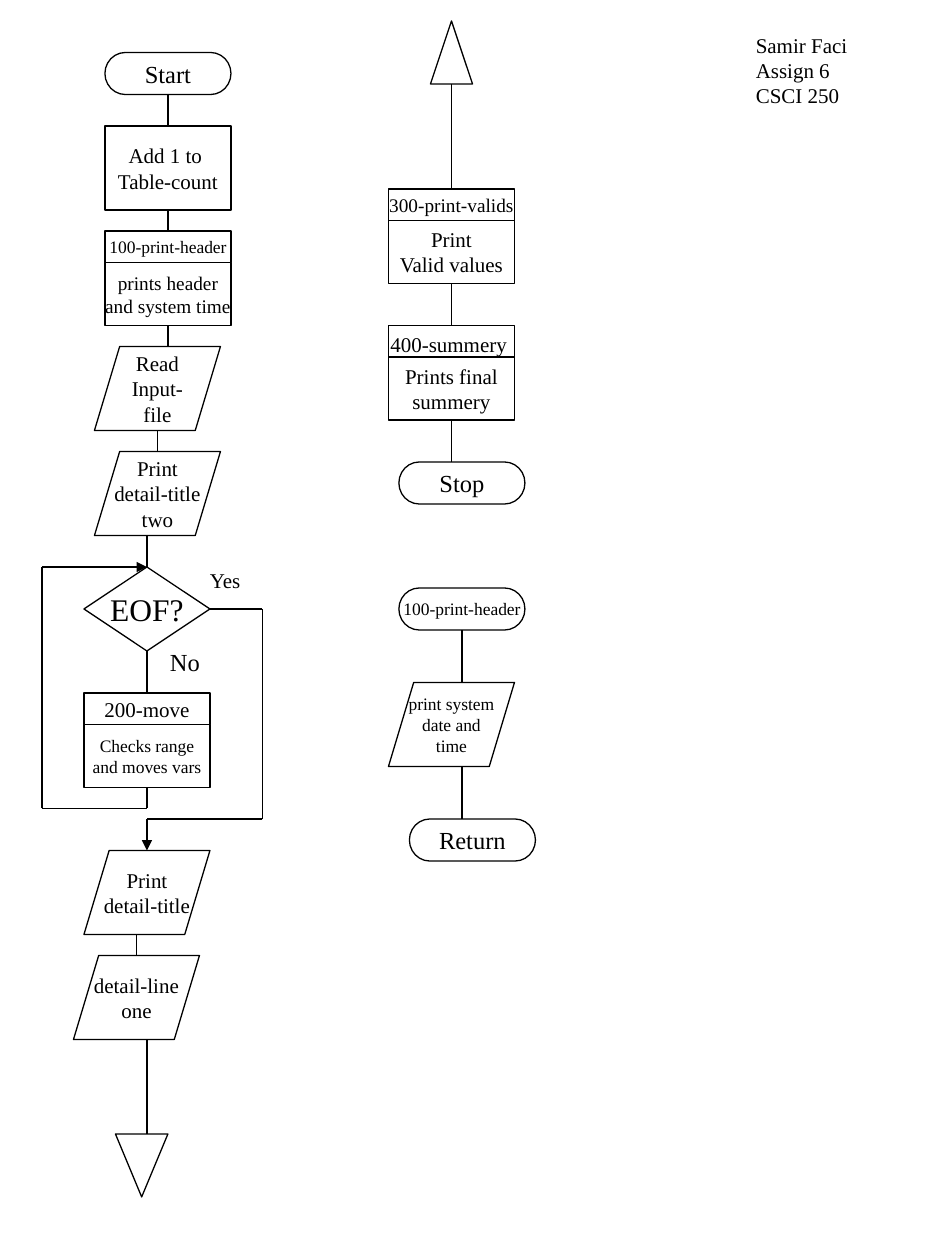
from itertools import pairwise

from lxml import etree
from pptx import Presentation
from pptx.dml.color import RGBColor
from pptx.enum.shapes import MSO_CONNECTOR, MSO_SHAPE
from pptx.enum.text import MSO_ANCHOR, MSO_AUTO_SIZE, PP_ALIGN
from pptx.oxml.ns import qn
from pptx.util import Pt

PX = 7620  # EMU in one px, 120 px to the inch
TERMINATOR = MSO_SHAPE.FLOWCHART_TERMINATOR
PROCESS = MSO_SHAPE.FLOWCHART_PROCESS
DATA = MSO_SHAPE.FLOWCHART_DATA
DECISION = MSO_SHAPE.FLOWCHART_DECISION
EXTRACT = MSO_SHAPE.FLOWCHART_EXTRACT
MERGE = MSO_SHAPE.FLOWCHART_MERGE
STRAIGHT = MSO_CONNECTOR.STRAIGHT
CENTER, LEFT = PP_ALIGN.CENTER, PP_ALIGN.LEFT
MIDDLE, TOP = MSO_ANCHOR.MIDDLE, MSO_ANCHOR.TOP
FIT_TEXT = MSO_AUTO_SIZE.SHAPE_TO_FIT_TEXT

THEME = {
    "font": "Times New Roman",
    "ink": RGBColor(0, 0, 0),
    "paper": RGBColor(255, 255, 255),
    "line": Pt(0.75),
    "tiny": Pt(10),
    "small": Pt(11),
    "body": Pt(12),
    "large": Pt(14),
    "question": Pt(18),
}
STEP_W, END_H, STEP_H, NAME_H, TASK_H = 120, 40, 80, 30, 60

# kind, left, top, width, height, text, type size
steps = [
    (TERMINATOR, 100, 50, STEP_W, END_H, "Start", "large"),
    (PROCESS, 100, 120, STEP_W, STEP_H, "Add 1 to \nTable-count", "body"),
    (DATA, 90, 330, STEP_W, STEP_H, "Read\nInput-\nfile", "body"),
    (DATA, 90, 430, STEP_W, STEP_H, "Print\ndetail-title\ntwo", "body"),
    (DECISION, 80, 540, STEP_W, STEP_H, "EOF?", "question"),
    (DATA, 80, 810, STEP_W, STEP_H, "Print\ndetail-title", "body"),
    (DATA, 70, 910, STEP_W, STEP_H, "detail-line\none", "body"),
    (MERGE, 110, 1080, 50, 60, "", "body"),
    (EXTRACT, 410, 20, 40, 60, "", "body"),
    (TERMINATOR, 380, 440, STEP_W, END_H, "Stop", "large"),
    (TERMINATOR, 380, 560, STEP_W, END_H, "100-print-header", "tiny"),
    (DATA, 370, 650, STEP_W, STEP_H, "print system\ndate and\ntime", "tiny"),
    (TERMINATOR, 390, 780, STEP_W, END_H, "Return", "large"),
]

# left, top, module name, its type size, task, its type size
modules = [
    (100, 220, "100-print-header", "tiny", "prints header\nand system time", "small"),
    (80, 660, "200-move", "body", "Checks range\nand moves vars", "tiny"),
    (370, 180, "300-print-valids", "small", "Print\nValid values", "body"),
    (370, 310, "", "body", "Prints final\nsummery", "body"),
]
for left, top, name, name_size, task, task_size in modules:
    steps.append((PROCESS, left, top, STEP_W, NAME_H, name, name_size))
    steps.append((PROCESS, left, top + NAME_H, STEP_W, TASK_H, task, task_size))

# corner points of each route, arrowhead at its end
routes = [
    ([(160, 90), (160, 120)], False),
    ([(160, 200), (160, 220)], False),
    ([(160, 310), (160, 330)], False),
    ([(150, 410), (150, 430)], False),
    ([(140, 540), (140, 510)], False),
    ([(140, 620), (140, 660)], False),
    ([(140, 750), (140, 770), (40, 770), (40, 540), (140, 540)], True),
    ([(200, 580), (250, 580), (250, 780), (140, 780), (140, 810)], True),
    ([(130, 890), (130, 910)], False),
    ([(140, 990), (140, 1080)], False),
    ([(430, 80), (430, 180)], False),
    ([(430, 270), (430, 310)], False),
    ([(430, 400), (430, 440)], False),
    ([(440, 600), (440, 650)], False),
    ([(440, 730), (440, 780)], False),
]

# left, top, width, height, text, type size
labels = [
    (150, 610, 54, 41, "No", "large"),
    (188, 535, 56, 36, "Yes", "body"),
    (360, 310, 138, 36, "400-summery", "body"),
    (708, 25, 114, 84, "Samir Faci\nAssign 6\nCSCI 250", "body"),
]


def write(frame, text, size, align, anchor):
    frame.text = text
    frame.word_wrap = False
    frame.vertical_anchor = anchor
    for paragraph in frame.paragraphs:
        paragraph.alignment = align
        for run in paragraph.runs:
            run.font.name = THEME["font"]
            run.font.size = THEME[size]
            run.font.color.rgb = THEME["ink"]


prs = Presentation()
prs.slide_width, prs.slide_height = 900 * PX, 1200 * PX
slide = prs.slides.add_slide(prs.slide_layouts[6])
shapes = slide.shapes

joints = {}  # middle of a side -> (step, connection site)
for kind, left, top, width, height, text, size in steps:
    step = shapes.add_shape(kind, left * PX, top * PX, width * PX, height * PX)
    step.shadow.inherit = False
    step.fill.solid()
    step.fill.fore_color.rgb = THEME["paper"]
    step.line.color.rgb = THEME["ink"]
    step.line.width = THEME["line"]
    if text:
        write(step.text_frame, text, size, CENTER, MIDDLE)
    if kind not in (DATA, MERGE):
        center, middle = left + width // 2, top + height // 2
        sides = [(center, top), (left, middle),
                 (center, top + height), (left + width, middle)]
        for site, point in enumerate(sides):
            joints[point] = (step, site)

for points, has_arrow in routes:
    for start, end in pairwise(points):
        flow = shapes.add_connector(STRAIGHT, *(v * PX for v in start + end))
        flow.line.color.rgb = THEME["ink"]
        flow.line.width = THEME["line"]
        properties = flow._element.spPr
        etree.SubElement(properties, qn("a:effectLst"))
        if start in joints:
            flow.begin_connect(*joints[start])
        if end in joints:
            flow.end_connect(*joints[end])
        if has_arrow and end == points[-1]:
            outline = properties.find(qn("a:ln"))
            etree.SubElement(outline, qn("a:tailEnd"), type="triangle")

for left, top, width, height, text, size in labels:
    label = shapes.add_textbox(left * PX, top * PX, width * PX, height * PX)
    write(label.text_frame, text, size, LEFT, TOP)
    label.text_frame.auto_size = FIT_TEXT

prs.save("out.pptx")
